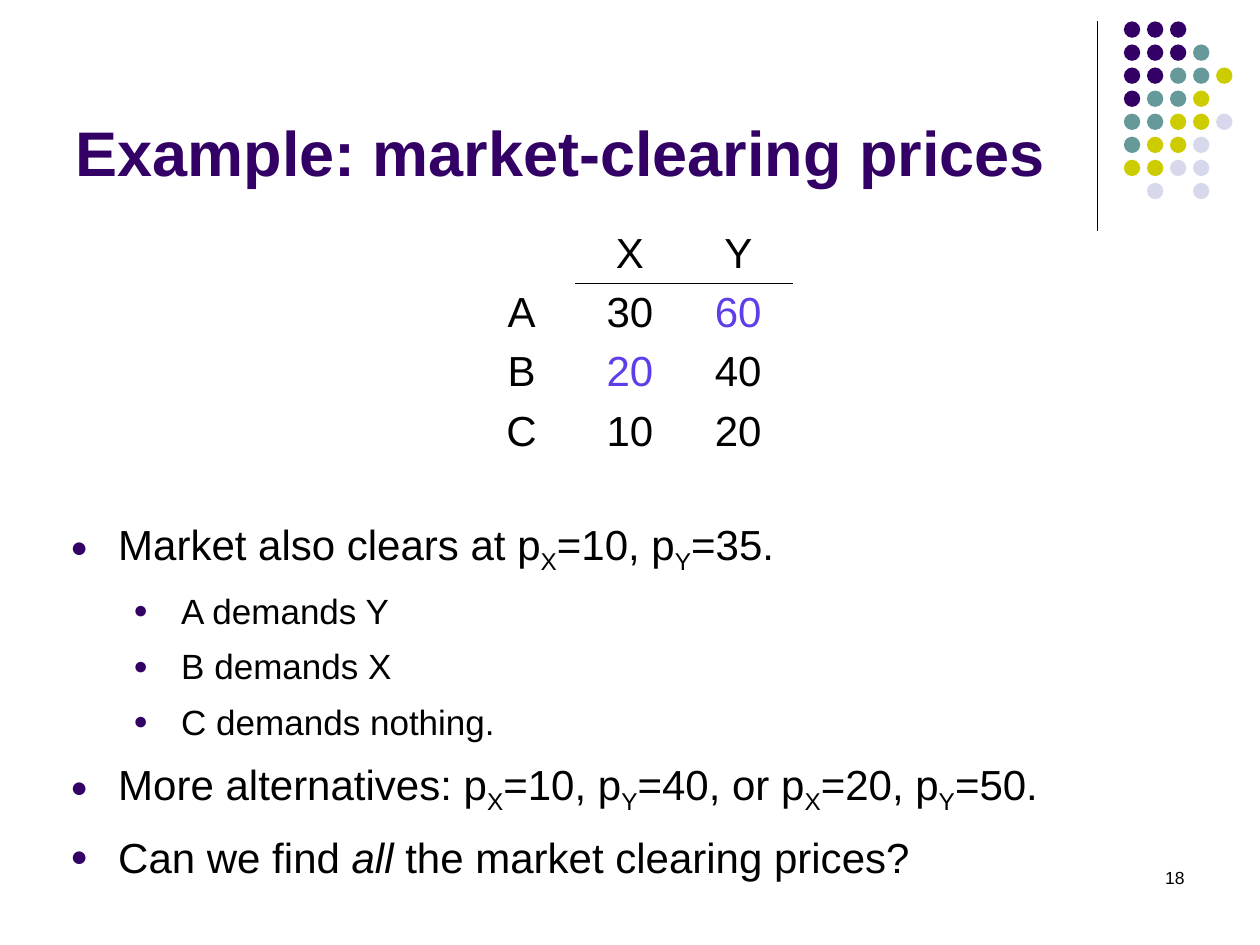
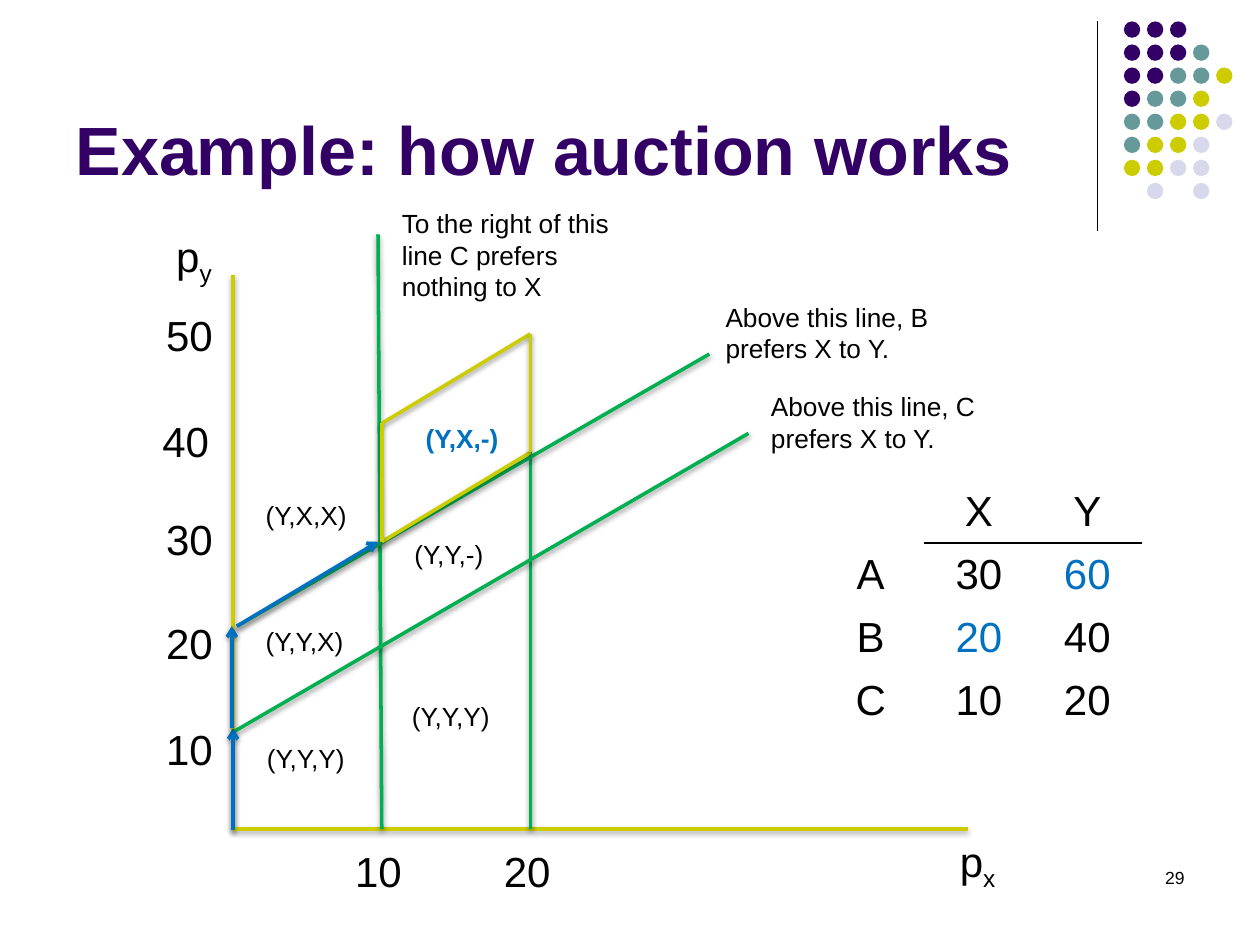
import lxml.etree
import pptx
import pptx.dml.color
import pptx.enum.shapes
import pptx.enum.text
import pptx.oxml
import pptx.oxml.ns
import pptx.util

Inches = pptx.util.Inches
Pt = pptx.util.Pt
RGBColor = pptx.dml.color.RGBColor
ALIGN = pptx.enum.text.PP_ALIGN
ANCHOR = pptx.enum.text.MSO_ANCHOR
qn = pptx.oxml.ns.qn

# Shared style
FONT = "Arial"
BLACK = RGBColor(0x00, 0x00, 0x00)
PURPLE = RGBColor(0x33, 0x00, 0x66)
TEAL = RGBColor(0x66, 0x99, 0x99)
LIME = RGBColor(0xCC, 0xCC, 0x00)
LAVENDER = RGBColor(0xD8, 0xD8, 0xEC)
VIOLET = RGBColor(0x5F, 0x3E, 0xEA)
GREEN = RGBColor(0x00, 0xB0, 0x50)
BLUE = RGBColor(0x00, 0x70, 0xC0)

DOT_COLORS = {"P": PURPLE, "T": TEAL, "L": LIME, "V": LAVENDER}
DOT_ROWS = ["PPP", "PPPT", "PPTTL", "PTTL", "TTLLV", "TLLV", "LLVV", " V V"]

VALUES = [["", "X", "Y"], ["A", "30", "60"], ["B", "20", "40"], ["C", "10", "20"]]
ASSIGNED = [(1, 2), (2, 1)]


def add_run(paragraph, text, size, color=BLACK, bold=False, style=""):
    run = paragraph.add_run()
    run.text = text
    run.font.name = FONT
    run.font.size = Pt(size)
    run.font.bold = bold
    run.font.color.rgb = color
    if style == "italic":
        run.font.italic = True
    if style == "sub":
        run._r.get_or_add_rPr().set("baseline", "-25000")


def add_text(slide, left, top, width, height, runs, size, color=BLACK,
             bold=False, wrap=True, align=ALIGN.LEFT):
    box = slide.shapes.add_textbox(Inches(left), Inches(top), Inches(width), Inches(height))
    box.text_frame.word_wrap = wrap
    paragraph = box.text_frame.paragraphs[0]
    paragraph.alignment = align
    for text, style in runs:
        add_run(paragraph, text, size, color, bold, style)


def add_line(slide, start, end, color, width, shadow=False, arrow=False):
    line = slide.shapes.add_connector(
        pptx.enum.shapes.MSO_CONNECTOR.STRAIGHT,
        Inches(start[0]), Inches(start[1]), Inches(end[0]), Inches(end[1]))
    line.line.color.rgb = color
    line.line.width = Pt(width)
    if arrow:
        lxml.etree.SubElement(line.line._get_or_add_ln(), qn("a:tailEnd"), type="arrow")
    effects = lxml.etree.SubElement(line._element.spPr, qn("a:effectLst"))
    if shadow:
        outer = lxml.etree.SubElement(
            effects, qn("a:outerShdw"), blurRad=str(Pt(3.1)), dist=str(Pt(1.6)),
            dir="5400000", rotWithShape="0")
        shade = lxml.etree.SubElement(outer, qn("a:srgbClr"), val=str(BLACK))
        lxml.etree.SubElement(shade, qn("a:alpha"), val="38000")


def add_dot_corner(slide, left, top):
    """Vertical rule with the triangle of dots beside it."""
    add_line(slide, (left, top), (left, top + 1.66), BLACK, 0.75)
    pitch, diameter = 0.183, 0.13
    for row, letters in enumerate(DOT_ROWS):
        for column, letter in enumerate(letters):
            if letter == " ":
                continue
            dot = slide.shapes.add_shape(
                pptx.enum.shapes.MSO_SHAPE.OVAL,
                Inches(left + 0.21 + column * pitch), Inches(top + row * pitch),
                Inches(diameter), Inches(diameter))
            dot.shadow.inherit = False
            dot.fill.solid()
            dot.fill.fore_color.rgb = DOT_COLORS[letter]
            dot.line.fill.background()


def add_base_slide(presentation, title, title_size, number):
    """Title, dot corner and slide number."""
    slide = presentation.slides.add_slide(presentation.slide_layouts[5])
    add_dot_corner(slide, 8.71, 0.17)
    shape = slide.shapes.title
    shape.left, shape.top = Inches(0.5), Inches(0.13)
    shape.width, shape.height = Inches(8.25), Inches(1.42)
    frame = shape.text_frame
    frame.word_wrap = True
    frame.auto_size = pptx.enum.text.MSO_AUTO_SIZE.NONE
    frame.vertical_anchor = ANCHOR.BOTTOM
    frame.paragraphs[0].alignment = ALIGN.LEFT
    add_run(frame.paragraphs[0], title, title_size, PURPLE, bold=True)
    add_text(slide, 7.17, 6.83, 2.33, 0.5, [(number, "")], 10, align=ALIGN.RIGHT)
    return slide


def set_border(cell, tag):
    border = lxml.etree.Element(qn(tag), w=str(Pt(1)))
    fill = lxml.etree.SubElement(border, qn("a:solidFill"))
    lxml.etree.SubElement(fill, qn("a:srgbClr"), val=str(BLACK))
    cell._tc.get_or_add_tcPr().insert(0, border)


def add_value_table(slide, left, top, row_height, highlight):
    """Valuations of A, B and C for the two goods."""
    column_width = 0.86
    table = slide.shapes.add_table(
        4, 3, Inches(left), Inches(top),
        Inches(3 * column_width), Inches(4 * row_height)).table
    table.first_row = table.horz_banding = False
    for column in table.columns:
        column.width = Inches(column_width)
    for row, texts in enumerate(VALUES):
        table.rows[row].height = Inches(row_height)
        for column, text in enumerate(texts):
            cell = table.cell(row, column)
            cell.fill.background()
            cell.margin_top = cell.margin_bottom = 0
            cell.vertical_anchor = ANCHOR.MIDDLE
            if column and row < 2:
                set_border(cell, "a:lnT" if row else "a:lnB")
            if text:
                paragraph = cell.text_frame.paragraphs[0]
                paragraph.alignment = ALIGN.CENTER
                add_run(paragraph, text, 24,
                        highlight if (row, column) in ASSIGNED else BLACK)


def price_runs(*pairs):
    """Runs for 'p sub X = a, p sub Y = b' wherever they occur."""
    runs = []
    for before, x_price, y_price in pairs:
        runs += [(before + "p", ""), ("X", "sub"), (f"={x_price}, p", ""),
                 ("Y", "sub"), (f"={y_price}", "")]
    return runs + [(".", "")]


def add_bullets(slide, left, top, width, height, items):
    box = slide.shapes.add_textbox(Inches(left), Inches(top), Inches(width), Inches(height))
    frame = box.text_frame
    frame.word_wrap = True
    for index, (level, runs) in enumerate(items):
        paragraph = frame.add_paragraph() if index else frame.paragraphs[0]
        paragraph.level = level
        paragraph.line_spacing = 1.1
        paragraph.space_before = Pt((5.3 if level else 6) if index else 0)
        properties = paragraph._p.get_or_add_pPr()
        properties.set("marL", str(Inches(0.38 + 0.5 * level)))
        properties.set("indent", str(Inches(-0.38)))
        color = lxml.etree.SubElement(properties, qn("a:buClr"))
        lxml.etree.SubElement(color, qn("a:srgbClr"), val=str(PURPLE))
        lxml.etree.SubElement(properties, qn("a:buSzPct"), val="70000")
        lxml.etree.SubElement(properties, qn("a:buFont"), typeface=FONT)
        lxml.etree.SubElement(properties, qn("a:buChar"), char="●")
        for text, style in runs:
            add_run(paragraph, text, 20 if level else 24, style=style)


def add_price_diagram(slide, left, bottom):
    """Price plane; every position is (right, up) from the origin of the axes."""
    def at(point):
        return left + point[0], bottom - point[1]

    def draw(start, end, color, arrow=False):
        add_line(slide, at(start), at(end), color, 2, shadow=True, arrow=arrow)

    def write(point, width, height, runs, size, **options):
        add_text(slide, *at(point), width, height, runs, size, **options)

    # Axes and their labels
    draw((0, 4.4), (0, 0), LIME)
    draw((0, 0), (5.83, 0), LIME)
    for letter, point in [("x", (5.67, 0)), ("y", (-0.55, 4.8))]:
        write(point, 0.5, 0.5, [("p", ""), (letter, "sub")], 24, wrap=False)
    ticks = [("10", 0.87, -0.08), ("20", 2.05, -0.08),
             ("10", -0.63, 0.89), ("20", -0.63, 1.73), ("30", -0.63, 2.55),
             ("40", -0.66, 3.33), ("50", -0.63, 4.17)]
    for text, right, up in ticks:
        write((right, up), 0.58, 0.5, [(text, "")], 24, wrap=False)

    # Indifference lines
    for start, end in [((1.15, 4.72), (1.18, 0)), ((2.36, 2.99), (2.36, 0)),
                       ((3.78, 3.77), (0.03, 1.61))]:
        draw(start, end, GREEN)

    # Region of market-clearing prices
    near, far, low, rise, depth = 1.18, 2.36, 2.28, 0.71, 0.94
    for up in (low, low + depth):
        draw((near, up), (far, up + rise), LIME)
    for right, up in [(near, low), (far, low + rise)]:
        draw((right, up + depth), (right, up), LIME)
    draw((4.09, 3.14), (0, 0.77), GREEN)

    # Path of the auction
    for start, end in [((0, -0.01), (0, 0.8)), ((-0.01, 0.8), (-0.01, 1.61)),
                       ((0.03, 1.61), (1.15, 2.28))]:
        draw(start, end, BLUE, arrow=True)

    # Notes on the lines
    notes = [("To the right of this line C prefers nothing to X", 1.24, 4.98, 0.86),
             ("Above this line, C prefers X to Y.", 4.17, 3.53, 0.61),
             ("Above this line, B prefers X to Y.", 3.81, 4.24, 0.61)]
    for text, right, up, height in notes:
        write((right, up), 1.89, height, [(text, "")], 15)

    # Demands in each region
    demands = [("(Y,Y,Y)", 0.17, 0.74), ("(Y,Y,X)", 0.16, 1.67), ("(Y,X,X)", 0.16, 2.67),
               ("(Y,Y,Y)", 1.32, 1.07), ("(Y,Y,-)", 1.34, 2.36)]
    for text, right, up in demands:
        write((right, up), 0.87, 0.35, [(text, "")], 15)
    write((1.43, 3.28), 0.87, 0.35, [("(Y,X,-)", "")], 15, color=BLUE, bold=True)


def build_prices_slide(presentation):
    slide = add_base_slide(presentation, "Example: market-clearing prices", 36, "18")
    add_value_table(slide, 3.71, 1.78, 0.47, VIOLET)
    add_bullets(slide, 0.46, 4.02, 9.08, 3.15, [
        (0, price_runs(("Market also clears at ", 10, 35))),
        (1, [("A demands Y", "")]),
        (1, [("B demands X", "")]),
        (1, [("C demands nothing.", "")]),
        (0, price_runs(("More alternatives: ", 10, 40), (", or ", 20, 50))),
        (0, [("Can we find ", ""), ("all ", "italic"),
             ("the market clearing prices?", "")]),
    ])


def build_auction_slide(presentation):
    slide = add_base_slide(presentation, "Example: how auction works", 39, "29")
    add_price_diagram(slide, 1.85, 6.58)
    add_value_table(slide, 6.48, 3.81, 0.5, BLUE)


def main():
    presentation = pptx.Presentation()
    presentation.slide_width = Inches(10)
    presentation.slide_height = Inches(7.5)
    build_prices_slide(presentation)
    build_auction_slide(presentation)
    presentation.save("out.pptx")


if __name__ == "__main__":
    main()
